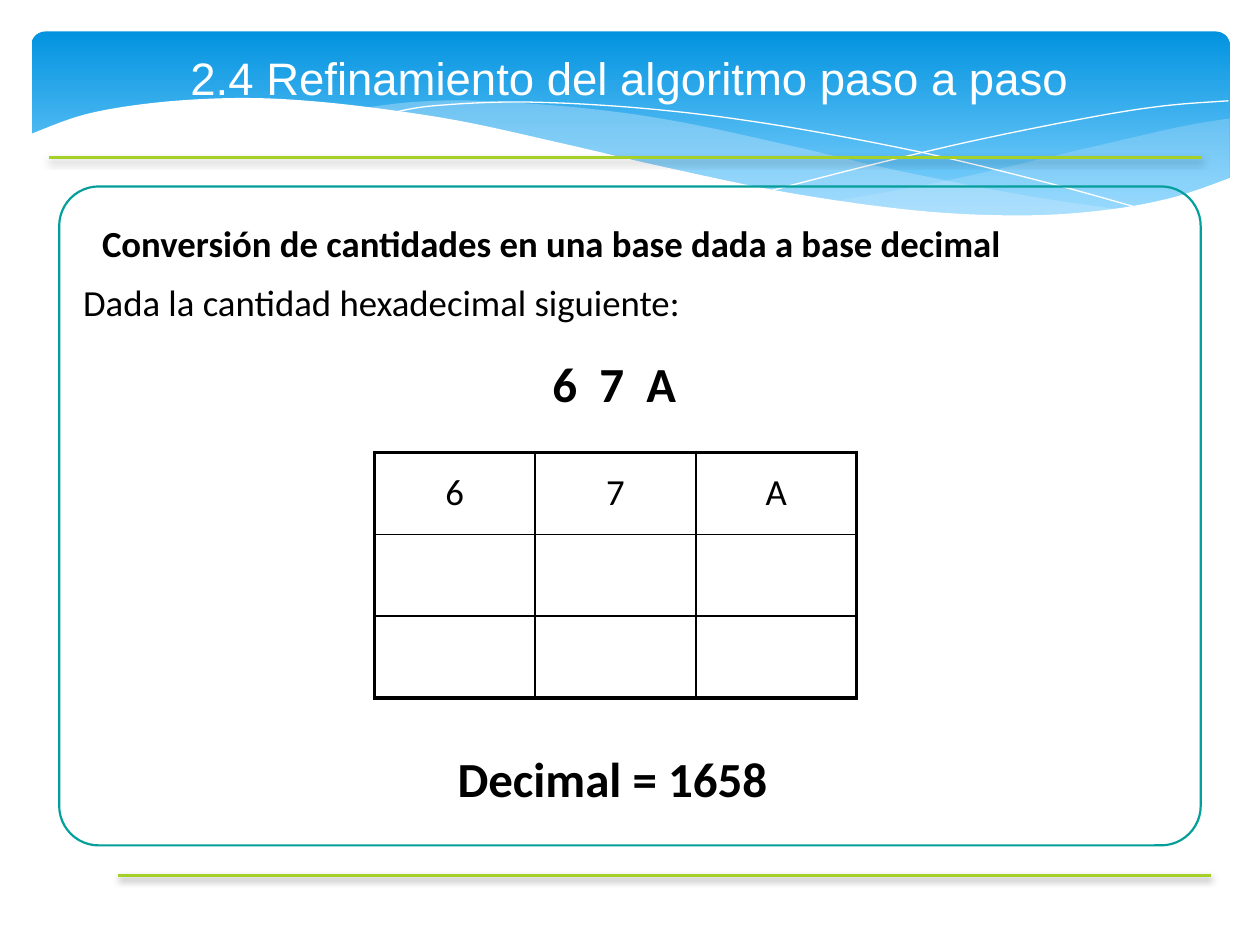
"""Build the slide on converting a hexadecimal quantity to decimal."""
from dataclasses import dataclass
from typing import Optional

from lxml import etree
from pptx import Presentation
from pptx import util as u
from pptx.dml.color import RGBColor
from pptx.enum import shapes, text
from pptx.oxml import ns

WIDTH, HEIGHT = 10, 7.5
BLACK, WHITE, LIME, TEAL = "000000", "FFFFFF", "A5D028", "049E9B"
SKY, DEEP_SKY, MIST = "83D3FE", "0293E0", "C6E7FC"
THICK, THIN = 2.25, 1

Point = tuple[float, float]


@dataclass(frozen=True)
class Wave:
    """Curves joined end to end; filled when a fill is given, else outlined."""
    curves: tuple[tuple[Point, ...], ...]
    fill: Optional[str] = None
    opacity: int = 100


@dataclass(frozen=True)
class Label:
    """A line of text in its box."""
    words: str
    box: tuple[float, float, float, float]
    size: float
    bold: bool = False
    centred: bool = True
    spacing: float = 0.9
    font: str = "Calibri"
    colour: str = BLACK
    middle: bool = False


WAVES = (
    Wave((((9.76, 0.94), (9.35, 1.01), (8.61, 1.18), (7.53, 1.43), (6.61, 1.6)),
          ((6.61, 1.6), (7.32, 1.68), (8.03, 1.72), (8.72, 1.69), (9.28, 1.58), (9.76, 1.41))),
         MIST, 29),
    Wave((((8.93, 1.67), (8.07, 1.54), (7.06, 1.34), (6.29, 1.16), (5.41, 0.97),
           (4.65, 0.86), (3.8, 0.8), (3.28, 0.81), (2.86, 0.86)),
          ((2.86, 0.86), (3.62, 0.97), (4.49, 1.16), (5.66, 1.43), (6.5, 1.58),
           (7.22, 1.68), (8.07, 1.73), (8.57, 1.71), (8.93, 1.67))),
         MIST, 40),
    Wave((((3.09, 0.9), (3.44, 0.84), (4.16, 0.81), (5.1, 0.86), (6.08, 0.98),
           (7.27, 1.2), (8.31, 1.45), (9.07, 1.66)),)),
    Wave((((6.13, 1.51), (6.95, 1.3), (7.76, 1.11), (8.66, 0.93), (9.24, 0.84), (9.75, 0.8)),)),
    Wave((((9.77, 1.41), (9.3, 1.57), (8.75, 1.67), (8.09, 1.71), (7.26, 1.67), (6.26, 1.53),
           (5.29, 1.33), (4.47, 1.14), (3.65, 0.96), (2.92, 0.85), (2.3, 0.79), (1.77, 0.78),
           (1.19, 0.82), (0.67, 0.91), (0.23, 1.07)),
          ((0.23, 2.24), (9.77, 2.24))),
         WHITE),
)

LABELS = (
    Label("Conversión de cantidades en una base dada a base decimal",
          (0.62, 1.72, 8.52, 0.58), 21, bold=True, centred=False, spacing=0.8),
    Label("Dada la cantidad hexadecimal siguiente:",
          (0.47, 2.19, 9, 0.58), 21, centred=False, spacing=0.8),
    Label("6  7  A", (3.89, 2.81, 1.97, 0.43), 28, bold=True),
    Label("Decimal = 1658", (2.34, 5.94, 5.04, 0.58), 28, bold=True),
    Label("2.4 Refinamiento del algoritmo paso a paso", (0, 0, WIDTH, 1.23), 26,
          spacing=1, font="Arial", colour=WHITE, middle=True),
)


def rgb(colour: str) -> RGBColor:
    """Turn a hex string into a colour."""
    return RGBColor.from_string(colour)


def child(parent, tag: str, **attributes):
    """Append a DrawingML element with attributes."""
    values = {name: str(value) for name, value in attributes.items()}
    return etree.SubElement(parent, ns.qn(f"a:{tag}"), values)


def smooth(anchors: tuple[Point, ...], steps: int = 8) -> list[Point]:
    """Sample a Catmull-Rom curve through the anchors."""
    if len(anchors) < 3:
        return list(anchors)
    padded = (anchors[0], *anchors, anchors[-1])
    points = [anchors[0]]
    for a, b, c, d in zip(padded, padded[1:], padded[2:], padded[3:]):
        for step in range(1, steps + 1):
            t = step / steps
            x, y = (0.5 * (2 * q + (r - p) * t + (2 * p - 5 * q + 4 * r - s) * t ** 2
                           + (3 * q - p - 3 * r + s) * t ** 3)
                    for p, q, r, s in zip(a, b, c, d))
            points.append((x, y))
    return points


def draw_wave(page, wave: Wave) -> None:
    """Draw one header wave."""
    points = [(u.Inches(x), u.Inches(y)) for curve in wave.curves for x, y in smooth(curve)]
    builder = page.shapes.build_freeform(*points[0], scale=1.0)
    builder.add_line_segments(points[1:], close=wave.fill is not None)
    shape = builder.convert_to_shape()
    shape.shadow.inherit = False
    if wave.fill is None:
        shape.fill.background()
        shape.line.color.rgb = rgb(WHITE)
        shape.line.width = u.Pt(0)
        return
    shape.line.fill.background()
    shape.fill.solid()
    shape.fill.fore_color.rgb = rgb(wave.fill)
    if wave.opacity < 100:
        colour = shape.fill._xPr.find(".//" + ns.qn("a:srgbClr"))
        child(colour, "alpha", val=wave.opacity * 1000)


def add_panel(page, box: tuple[float, ...], corner: float):
    """Add an unfilled rounded rectangle."""
    panel = page.shapes.add_shape(shapes.MSO_SHAPE.ROUNDED_RECTANGLE, *map(u.Inches, box))
    panel.adjustments[0] = corner
    panel.shadow.inherit = False
    panel.fill.background()
    return panel


def draw_rule(page, left: float, right: float, top: float) -> None:
    """Draw a lime rule with a soft shadow below it."""
    rule = page.shapes.add_connector(shapes.MSO_CONNECTOR.STRAIGHT,
                                     *map(u.Inches, (left, top, right, top)))
    rule.line.color.rgb = rgb(LIME)
    rule.line.width = u.Pt(2)
    effects = child(rule._element.spPr, "effectLst")
    shadow = child(effects, "outerShdw", blurRad=u.Pt(4), dist=u.Pt(2), dir=5400000,
                   rotWithShape=0)
    child(child(shadow, "srgbClr", val=BLACK), "alpha", val=38000)


def draw_label(page, label: Label) -> None:
    """Draw one line of text."""
    frame = page.shapes.add_textbox(*map(u.Inches, label.box)).text_frame
    frame.word_wrap = True
    para = frame.paragraphs[0]
    para.text = label.words
    para.line_spacing = label.spacing
    para.font.name, para.font.size, para.font.bold = label.font, u.Pt(label.size), label.bold
    para.font.color.rgb = rgb(label.colour)
    if label.middle:
        frame.vertical_anchor = text.MSO_ANCHOR.MIDDLE
    else:
        para.space_before = u.Pt(label.size * 0.2)
    if label.centred:
        para.alignment = text.PP_ALIGN.CENTER
    else:
        frame.margin_left, frame.margin_top = u.Inches(0.06), u.Inches(0.1)
        properties = para._p.get_or_add_pPr()
        properties.set("marL", str(u.Inches(0.48)))
        properties.set("indent", str(u.Inches(-0.35)))


def draw_digit_table(page, digits: str, rows: int) -> None:
    """Draw the grid headed by the digits, framed by a thick border."""
    columns = len(digits)
    frame = page.shapes.add_table(rows, columns, *map(u.Inches, (2.97, 3.59, 3.83, 1.95)))
    table = frame.table
    table.first_row = table.horz_banding = False
    for row in range(rows):
        for column in range(columns):
            cell = table.cell(row, column)
            outer = {"lnL": column == 0, "lnR": column == columns - 1,
                     "lnT": row == 0, "lnB": row == rows - 1}
            for side, thick in outer.items():
                line = child(cell._tc.get_or_add_tcPr(), side, w=u.Pt(THICK if thick else THIN))
                child(child(line, "solidFill"), "srgbClr", val=BLACK)
            cell.fill.background()
            cell.vertical_anchor = text.MSO_ANCHOR.MIDDLE
            if row == 0:
                para = cell.text_frame.paragraphs[0]
                para.text = digits[column]
                para.alignment = text.PP_ALIGN.CENTER
                para.space_before = u.Pt(4.2)
                para.font.name, para.font.size = "Calibri", u.Pt(21)
                para.font.color.rgb = rgb(BLACK)


def main() -> None:
    """Build and save the deck."""
    deck = Presentation()
    deck.slide_width, deck.slide_height = u.Inches(WIDTH), u.Inches(HEIGHT)
    page = deck.slides.add_slide(deck.slide_layouts[6])
    banner = add_panel(page, (0.25, 0.25, 9.51, 1.56), 0.07)
    banner.line.fill.background()
    banner.fill.gradient()
    banner.fill.gradient_angle = 270
    for stop, position, colour in zip(banner.fill.gradient_stops, (0, 0.9), (DEEP_SKY, SKY)):
        stop.position, stop.color.rgb = position, rgb(colour)
    for wave in WAVES:
        draw_wave(page, wave)
    draw_rule(page, 0.39, 9.53, 1.25)
    draw_rule(page, 0.94, 9.61, 6.95)
    outline = add_panel(page, (0.47, 1.48, 9.06, 5.23), 0.06)
    outline.line.color.rgb, outline.line.width = rgb(TEAL), u.Pt(1.25)
    draw_digit_table(page, "67A", 3)
    for label in LABELS:
        draw_label(page, label)
    deck.save("out.pptx")


main()
